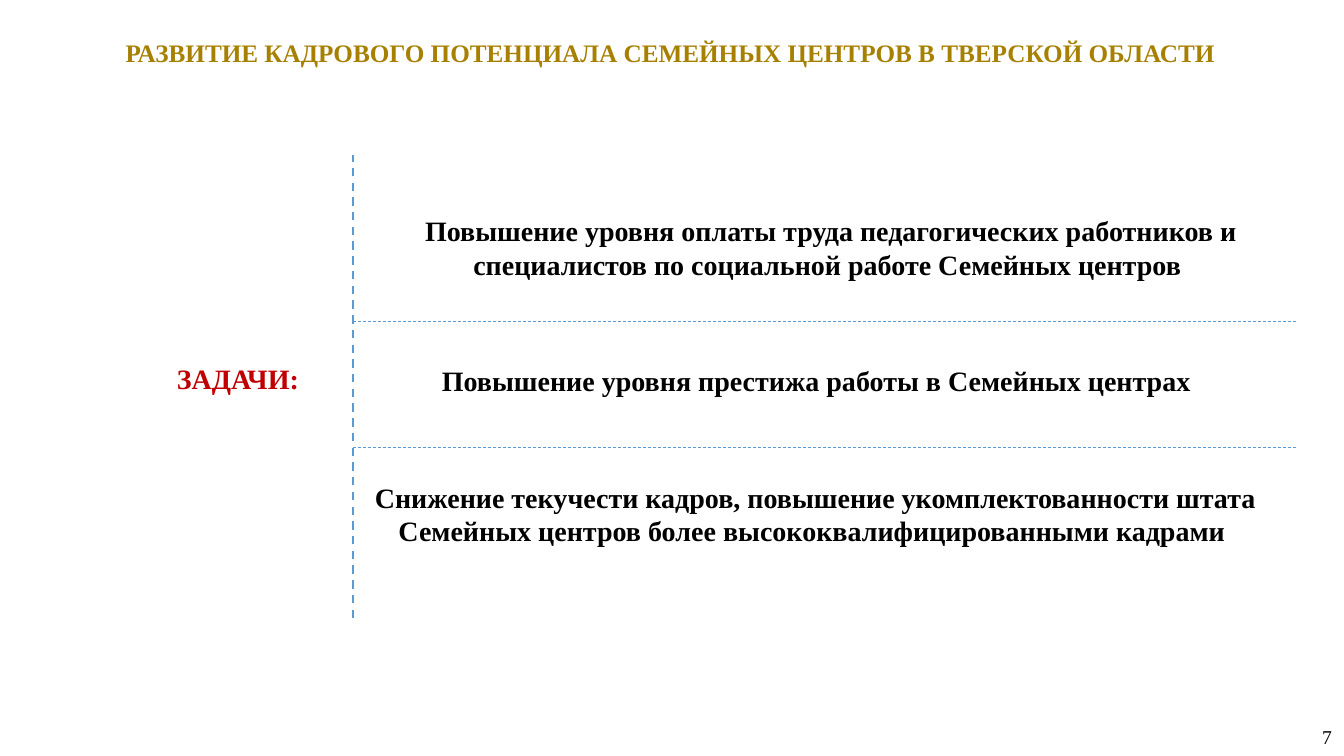
import pptx
import pptx.util
import pptx.dml.color
import pptx.enum.dml
import pptx.enum.shapes
import pptx.enum.text
import lxml.etree

PX = 914400 / 100.8  # EMU in one px
GOLD = pptx.dml.color.RGBColor(0xA8, 0x80, 0x00)
RED = pptx.dml.color.RGBColor(0xC0, 0x00, 0x00)
BLACK = pptx.dml.color.RGBColor(0x00, 0x00, 0x00)
BLUE = pptx.dml.color.RGBColor(0x5B, 0x9B, 0xD5)
LEFT, CENTER, RIGHT = (pptx.enum.text.PP_ALIGN.LEFT, pptx.enum.text.PP_ALIGN.CENTER,
                       pptx.enum.text.PP_ALIGN.RIGHT)
TOP, MIDDLE = pptx.enum.text.MSO_ANCHOR.TOP, pptx.enum.text.MSO_ANCHOR.MIDDLE


def emu(*lengths):
    return [round(length * PX) for length in lengths]


def write(shape, text, size, color, bold=True, align=CENTER, anchor=MIDDLE, insets=(10, 5)):
    frame = shape.text_frame
    side, edge = emu(*insets)
    layout = {"word_wrap": True, "vertical_anchor": anchor, "margin_left": side,
              "margin_right": side, "margin_top": edge, "margin_bottom": edge}
    for key, value in layout.items():
        setattr(frame, key, value)
    paragraph = frame.paragraphs[0]
    paragraph.alignment = align
    run = paragraph.add_run()
    run.text = text
    style = {"name": "Times New Roman", "size": pptx.util.Pt(size), "bold": bold}
    for key, value in style.items():
        setattr(run.font, key, value)
    run.font.color.rgb = color


deck = pptx.Presentation()
deck.slide_width, deck.slide_height = emu(1344, 756)
slide = deck.slides.add_slide(deck.slide_layouts[6])
shapes = slide.shapes

# Title
title = shapes.add_textbox(*emu(115, 14, 1111, 77))
write(title, "РАЗВИТИЕ КАДРОВОГО ПОТЕНЦИАЛА СЕМЕЙНЫХ ЦЕНТРОВ В ТВЕРСКОЙ ОБЛАСТИ", 18, GOLD)

# Dashed dividers: one beside the heading, two between the tasks
DIVIDER_X, ROW_END = 353, 1297
dividers = [(DIVIDER_X, 618, DIVIDER_X, 155, 1.5)]
dividers += [(DIVIDER_X, y, ROW_END, y, 0.5) for y in (321, 447)]
for *ends, width in dividers:
    divider = shapes.add_connector(pptx.enum.shapes.MSO_CONNECTOR.STRAIGHT, *emu(*ends))
    divider.line.color.rgb = BLUE
    divider.line.width = pptx.util.Pt(width)
    divider.line.dash_style = pptx.enum.dml.MSO_LINE.DASH
    lxml.etree.SubElement(divider._element.spPr, pptx.oxml.ns.qn("a:effectLst"))

# Heading and the two lower tasks in unfilled rounded boxes
boxes = [
    ((128, 278, 220, 200), "ЗАДАЧИ:", RED),
    ((353, 354, 927, 52), "Повышение уровня престижа работы в Семейных центрах", BLACK),
    ((352, 480, 927, 68), "Снижение текучести кадров, повышение укомплектованности штата "
     "Семейных центров более высококвалифицированными кадрами ", BLACK),
]
for place, text, color in boxes:
    box = shapes.add_shape(pptx.enum.shapes.MSO_SHAPE.ROUNDED_RECTANGLE, *emu(*place))
    box.shadow.inherit = False
    box.fill.background()
    box.line.fill.background()
    write(box, text, 20, color, insets=(13, 7))

# First task
pay_task = shapes.add_textbox(*emu(357, 209, 948, 78))
write(pay_task, "Повышение уровня оплаты труда педагогических работников и "
      "специалистов по социальной работе Семейных центров ", 20, BLACK, anchor=TOP)

# Page number
page_number = shapes.add_textbox(*emu(1009, 717, 333, 40))
write(page_number, "7", 14, BLACK, bold=False, align=RIGHT)

deck.save("out.pptx")
